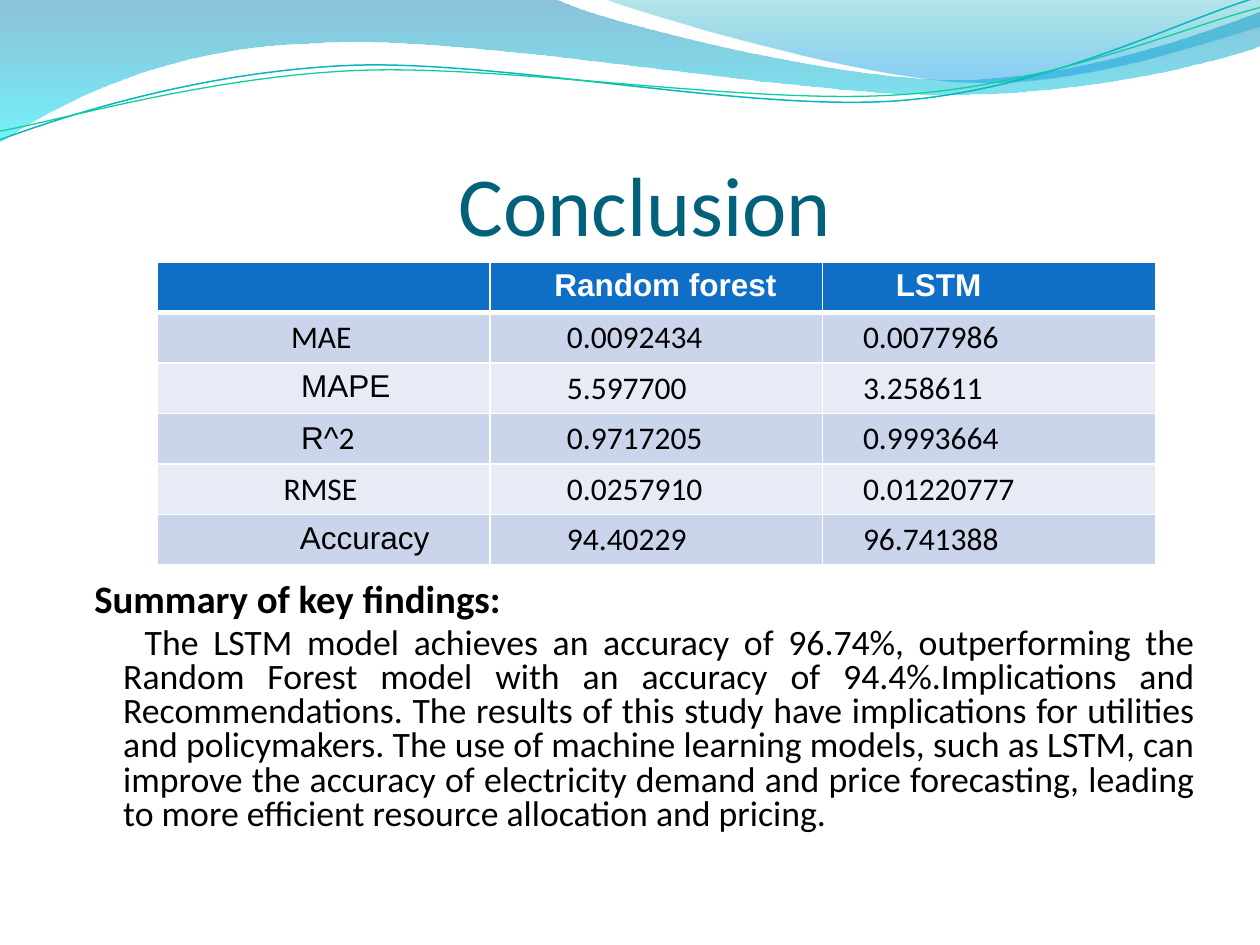
"""Build the conclusion slide with a model comparison table and key findings."""
from lxml import etree
from pptx import Presentation
from pptx import util as u
from pptx.dml.color import RGBColor
from pptx.enum import text
from pptx.oxml.ns import qn


def color(value):
    return RGBColor.from_string(value)


def draw_curve(slide, start, segments, closed):
    builder = slide.shapes.build_freeform(u.Inches(start[0]), u.Inches(start[1]))
    points = [(u.Inches(segment[i]), u.Inches(segment[i + 1]))
              for segment in segments for i in range(0, len(segment), 2)]
    builder.add_line_segments(points, close=closed)
    shape = builder.convert_to_shape()
    shape.shadow.inherit = False
    lines = iter(list(shape._element.spPr.iter(qn("a:lnTo"))))
    for segment in segments:
        line = next(lines)
        if len(segment) == 6:
            curve = etree.Element(qn("a:cubicBezTo"))
            line.addprevious(curve)
            for node in (line, next(lines), next(lines)):
                curve.append(node[0])
                node.getparent().remove(node)
    return shape


presentation = Presentation()
presentation.slide_width = u.Inches(10)
presentation.slide_height = u.Inches(7.5)
slide = presentation.slides.add_slide(presentation.slide_layouts[6])

waves = [
    ((0, 0), [(4.4, -0.01), (4.76, 0.17, 6.64, 0.63, 7.58, 0.63),
              (8.53, 0.63, 9.58, 0.26, 10, 0.09), (10.01, 0.36),
              (9.83, 0.44, 8.7, 0.76, 7.46, 0.75), (6.22, 0.75, 3.82, 0.28, 2.57, 0.34),
              (1.29, 0.36, 0.46, 0.83, -0.01, 1.13)],
     [(0, "0079AD", 45), (1, "00E9F7", 55)]),
    ((4.79, -0.01), [(5.09, 0.11, 6.82, 0.62, 7.69, 0.65),
                     (8.56, 0.69, 9.61, 0.32, 10, 0.21), (10, 0)],
     [(0, "00ABB4", 30), (0.8, "0099E4", 45)]),
]
for start, segments, stops in waves:
    wave = draw_curve(slide, start, segments, True)
    wave.line.fill.background()
    wave.fill.gradient()
    wave.fill.gradient_angle = 270
    for stop, (position, shade, _) in zip(wave.fill.gradient_stops, stops):
        stop.position = position
        stop.color.rgb = color(shade)
    shades = wave._element.spPr.iter(qn("a:srgbClr"))
    for shade, (_, _, opacity) in zip(list(shades), stops):
        etree.SubElement(shade, qn("a:alpha"), val=str(opacity * 1000))

strands = [
    ((0, 1.11), [(0.48, 0.93, 1.58, 0.57, 2.77, 0.52), (3.95, 0.47, 5.93, 0.89, 7.13, 0.8),
                 (8.33, 0.71, 9.38, 0.15, 9.98, -0.02)], "09B6BE", 0.85),
    ((0, 1.04), [(0.47, 0.96, 1.64, 0.61, 2.83, 0.56), (4.03, 0.51, 5.97, 0.84, 7.17, 0.75),
                 (8.36, 0.67, 9.41, 0.21, 10, 0.06)], "10CF9B", 0.75),
]
for start, segments, shade, width in strands:
    strand = draw_curve(slide, start, segments, False)
    strand.fill.background()
    strand.line.color.rgb = color(shade)
    strand.line.width = u.Pt(width)

title = slide.shapes.add_textbox(u.Inches(0.5), u.Inches(0.76), u.Inches(9), u.Inches(1.25))
frame = title.text_frame
frame.word_wrap = True
frame.vertical_anchor = text.MSO_ANCHOR.BOTTOM
frame.margin_left = u.Inches(3.14)
frame.margin_right = frame.margin_bottom = 0
frame.text = "Conclusion"
font = frame.paragraphs[0].runs[0].font
font.name, font.size = "Calibri", u.Pt(48)
font.color.rgb = color("04617B")

findings = slide.shapes.add_textbox(u.Inches(0.58), u.Inches(4.58), u.Inches(9), u.Inches(2.34))
frame = findings.text_frame
frame.word_wrap = True
paragraphs = [
    ("Summary of key findings:", 22.2, True, 0.07, 0, text.PP_ALIGN.LEFT),
    ("The LSTM model achieves an accuracy of 96.74%, outperforming the Random Forest model "
     "with an accuracy of 94.4%.Implications and Recommendations. The results of this study "
     "have implications for utilities and policymakers. The use of machine learning models, "
     "such as LSTM, can improve the accuracy of electricity demand and price forecasting, "
     "leading to more efficient resource allocation and pricing.",
     20.4, False, 0.3, 0.17, text.PP_ALIGN.JUSTIFY),
]
frame.text = "\n".join(item[0] for item in paragraphs)
for paragraph, (_, size, bold, margin, indent, alignment) in zip(frame.paragraphs, paragraphs):
    paragraph.alignment = alignment
    paragraph.line_spacing = 0.8
    properties = paragraph._p.get_or_add_pPr()
    properties.set("marL", str(u.Inches(margin)))
    properties.set("indent", str(u.Inches(indent)))
    font = paragraph.runs[0].font
    font.name, font.size, font.bold = "Calibri", u.Pt(size), bold
    font.color.rgb = color("000000")
frame.paragraphs[1].space_before = u.Pt(4.1)

rows = [
    ("", "Random forest", "LSTM"),
    ("MAE", "0.0092434", "0.0077986"),
    ("MAPE", "5.597700", "3.258611"),
    ("R^2", "0.9717205", "0.9993664"),
    ("RMSE", "0.0257910", "0.01220777"),
    ("Accuracy", "94.40229", "96.741388"),
]
label_margins = [0.1, 1.06, 1.14, 1.14, 1.0, 1.13]
arial_labels = ("MAPE", "R^2", "Accuracy")
table = slide.shapes.add_table(6, 3, u.Inches(1.25), u.Inches(2.08),
                               u.Inches(7.92), u.Inches(1.98)).table
for column in table.columns:
    column.width = u.Inches(2.64)
for row_index, values in enumerate(rows):
    header = row_index == 0
    table.rows[row_index].height = u.Inches(0.33)
    margins = [label_margins[row_index]] + ([0.51, 0.58] if header else [0.61, 0.32])
    fill = "0F6FC6" if header else ("E6EBF5", "CAD4EA")[row_index % 2]
    for column_index, value in enumerate(values):
        cell = table.cell(row_index, column_index)
        cell.margin_left = u.Inches(margins[column_index])
        paragraph = cell.text_frame.paragraphs[0]
        paragraph.font.size = u.Pt(18)
        pieces = ["R^", "2"] if value == "R^2" else [value] if value else []
        for piece in pieces:
            run = paragraph.add_run()
            run.text = piece
            arial = (header or value in arial_labels) and piece != "2"
            run.font.name = "Arial" if arial else "Calibri"
            run.font.size = u.Pt(18)
            run.font.bold = header
            run.font.color.rgb = color("FFFFFF" if header else "000000")
        properties = cell._tc.get_or_add_tcPr()
        for side in ("L", "R", "T", "B"):
            thick = (header and side == "B") or (row_index == 1 and side == "T")
            border = etree.SubElement(properties, qn(f"a:ln{side}"),
                                      w=str(u.Pt(3 if thick else 1)))
            solid = etree.SubElement(border, qn("a:solidFill"))
            etree.SubElement(solid, qn("a:srgbClr"), val="FFFFFF")
        cell.fill.solid()
        cell.fill.fore_color.rgb = color(fill)

presentation.save("out.pptx")
